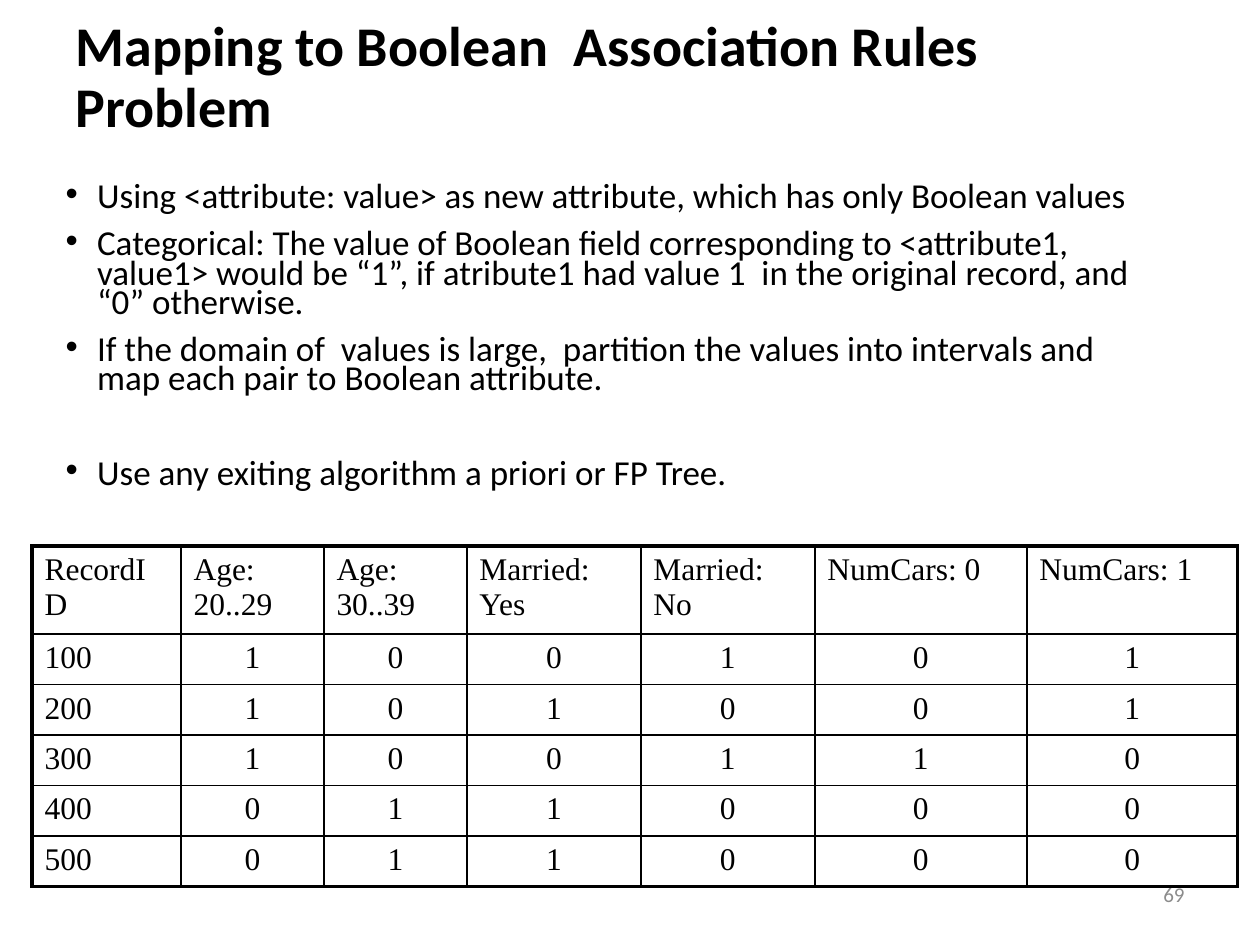
"""Build the slide on mapping records to Boolean association rules."""
from lxml.etree import SubElement
from pptx import Presentation
from pptx.dml.color import RGBColor
from pptx.enum.text import MSO_ANCHOR as Anchor, MSO_AUTO_SIZE as AutoSize, PP_ALIGN as Align
from pptx.oxml.ns import qn
from pptx.util import Emu, Pt

PX = 914400 // 126
THEME = {
    "title": {"name": "Calibri", "size": Pt(32), "bold": True, "color": "000000"},
    "body": {"name": "Calibri", "size": Pt(20), "bold": False, "color": "000000"},
    "table": {"name": "Times New Roman", "size": Pt(18), "bold": False, "color": "000000"},
    "number": {"name": "Calibri", "size": Pt(12), "bold": False, "color": "8C8C8C"},
    "border": "000000", "outer": Pt(2.25), "inner": Pt(1),
}
TITLE = "Mapping to Boolean  Association Rules Problem"
BULLETS = [
    ("Using <attribute: value> as new attribute, which has only Boolean values", 10),
    ("Categorical: The value of Boolean field corresponding to <attribute1, value1> would be "
     "“1”, if atribute1 had value 1  in the original record, and “0” otherwise.", 10),
    ("If the domain of  values is large,  partition the values into intervals and map each "
     "pair to Boolean attribute.", 10),
    ("Use any exiting algorithm a priori or FP Tree.", 37),
]
RECORDS = [
    ("RecordID", "Age: 20..29", "Age: 30..39", "Married: Yes", "Married: No",
     "NumCars: 0", "NumCars: 1"),
    ("100", "1", "0", "0", "1", "0", "1"),
    ("200", "1", "0", "1", "0", "0", "1"),
    ("300", "1", "0", "0", "1", "1", "0"),
    ("400", "0", "1", "1", "0", "0", "0"),
    ("500", "0", "1", "1", "0", "0", "0"),
]
PAGE = "69"
TITLE_BOX = (63, 0, 1134, 158)
BODY_BOX = (53, 179, 1124, 325)
NUMBER_BOX = (903, 861, 294, 66)
TABLE_ORIGIN = (32, 546)
COLUMN_WIDTHS = [149, 143, 143, 174, 174, 212, 211]
HEADER_HEIGHT, ROW_HEIGHT = 82, 47


def px(value):
    return Emu(value * PX)


def apply(target, values):
    for name, value in values.items():
        setattr(target, name, value)


def place(shape, box):
    apply(shape, dict(zip(("left", "top", "width", "height"), map(px, box))))


def write(paragraph, text, style, **layout):
    run = paragraph.add_run()
    run.text = text
    apply(run.font, {name: value for name, value in style.items() if name != "color"})
    run.font.color.rgb = RGBColor.from_string(style["color"])
    apply(paragraph, layout)


def add_bullet(paragraph):
    properties = paragraph._p.get_or_add_pPr()
    properties.set("marL", str(Emu(228600)))
    properties.set("indent", str(Emu(-228600)))
    SubElement(properties, qn("a:buFont"), typeface="Arial")
    SubElement(properties, qn("a:buChar"), char="•")


def add_borders(cell, outer_sides):
    properties = cell._tc.get_or_add_tcPr()
    for side in "LRTB":
        width = THEME["outer" if side in outer_sides else "inner"]
        line = SubElement(properties, qn(f"a:ln{side}"), w=str(width))
        fill = SubElement(line, qn("a:solidFill"))
        SubElement(fill, qn("a:srgbClr"), val=THEME["border"])


def add_title(slide):
    title = slide.shapes.title
    place(title, TITLE_BOX)
    apply(title.text_frame, {"vertical_anchor": Anchor.MIDDLE, "word_wrap": True,
                             "auto_size": AutoSize.NONE})
    write(title.text_frame.paragraphs[0], TITLE, THEME["title"],
          alignment=Align.LEFT, line_spacing=0.9)


def add_body(slide):
    body = slide.placeholders[1]
    place(body, BODY_BOX)
    frame = body.text_frame
    apply(frame, {"word_wrap": True, "auto_size": AutoSize.NONE})
    for index, (text, gap) in enumerate(BULLETS):
        paragraph = frame.add_paragraph() if index else frame.paragraphs[0]
        write(paragraph, text, THEME["body"], line_spacing=0.7, space_before=Pt(gap))
        add_bullet(paragraph)


def add_records(slide):
    heights = [HEADER_HEIGHT] + [ROW_HEIGHT] * (len(RECORDS) - 1)
    box = (*TABLE_ORIGIN, sum(COLUMN_WIDTHS), sum(heights))
    table = slide.shapes.add_table(len(RECORDS), len(COLUMN_WIDTHS), *map(px, box)).table
    apply(table, {"first_row": False, "horz_banding": False})
    for column, width in zip(table.columns, COLUMN_WIDTHS):
        column.width = px(width)
    last_row, last_column = len(RECORDS) - 1, len(COLUMN_WIDTHS) - 1
    for r, record in enumerate(RECORDS):
        table.rows[r].height = px(heights[r])
        for c, text in enumerate(record):
            cell = table.cell(r, c)
            edges = {"L": c == 0, "R": c == last_column, "T": r == 0, "B": r == last_row}
            add_borders(cell, [side for side, outer in edges.items() if outer])
            cell.fill.background()
            write(cell.text_frame.paragraphs[0], text, THEME["table"],
                  alignment=Align.CENTER if r and c else Align.LEFT)


def add_number(slide):
    frame = slide.shapes.add_textbox(*map(px, NUMBER_BOX)).text_frame
    apply(frame, {"word_wrap": True, "vertical_anchor": Anchor.MIDDLE})
    write(frame.paragraphs[0], PAGE, THEME["number"], alignment=Align.RIGHT)


def main():
    presentation = Presentation()
    apply(presentation, {"slide_width": px(1260), "slide_height": px(945)})
    slide = presentation.slides.add_slide(presentation.slide_layouts[1])
    for add_part in (add_number, add_title, add_body, add_records):
        add_part(slide)
    presentation.save("out.pptx")


if __name__ == "__main__":
    main()
